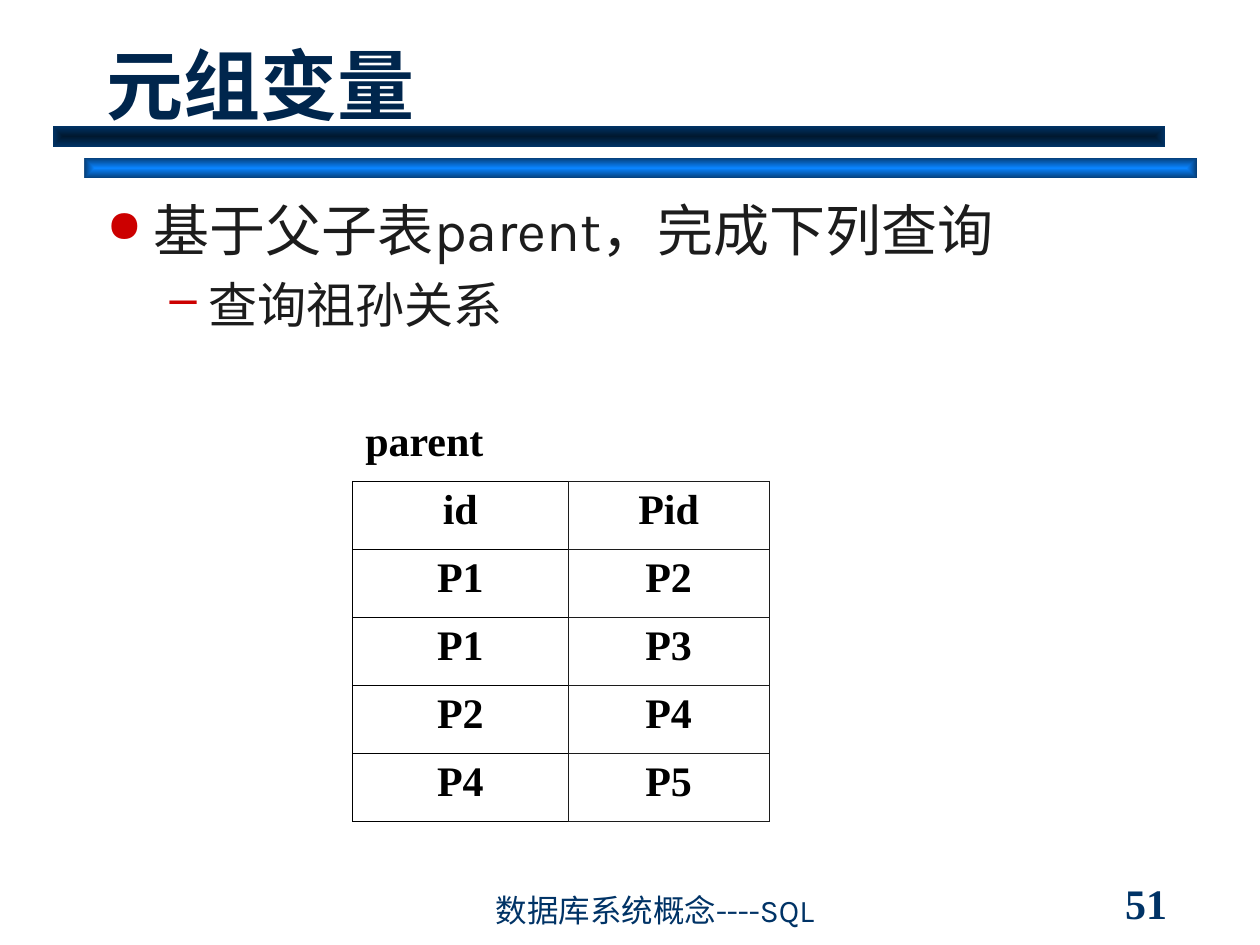
from lxml.etree import SubElement as Sub, Element
from pptx import Presentation
from pptx.dml.color import RGBColor
from pptx.enum.shapes import MSO_SHAPE as Shape
from pptx.enum.text import MSO_ANCHOR as Anchor, PP_ALIGN as Align
from pptx.oxml.ns import qn
from pptx.util import Cm, Pt

NAVY = RGBColor(0x00, 0x33, 0x66)
NIGHT = RGBColor(0x00, 0x18, 0x2F)
SKY = RGBColor(0x0A, 0x84, 0xFF)
DEEP = RGBColor(0x05, 0x3D, 0x76)
TITLE = RGBColor(0x00, 0x26, 0x4D)
INK = RGBColor(0x1C, 0x1C, 0x1C)
BLACK = RGBColor(0, 0, 0)
RED = RGBColor(0xCC, 0, 0)
SANS, SERIF = "Karla", "Times New Roman"

ROWS = [("parent", ""), ("id", "Pid"), ("P1", "P2"),
        ("P1", "P3"), ("P2", "P4"), ("P4", "P5")]


def style(para, name, size, color, bold=False):
    font = para.font
    font.name, font.size, font.bold = name, Pt(size), bold
    font.color.rgb = color
    for run in para.runs:
        run.font.name, run.font.size, run.font.bold = name, Pt(size), bold
        run.font.color.rgb = color


def add_bar(slide, left, top, inner, outer):
    """Add a bar shaded from its centre to its edges."""
    bar = slide.shapes.add_shape(
        Shape.RECTANGLE, Cm(left), Cm(top), Cm(22.43), Cm(0.42))
    bar.shadow.inherit = False
    bar.line.fill.background()
    bar.fill.gradient()
    for stop, color in zip(bar.fill.gradient_stops, (inner, outer)):
        stop.color.rgb = color
    grad = bar._element.spPr.find(qn("a:gradFill"))
    shade = Element(qn("a:path"), path="rect")
    Sub(shade, qn("a:fillToRect"), l="50000", t="50000", r="50000", b="50000")
    grad.replace(grad.find(qn("a:lin")), shade)


def add_text(slide, left, top, width, height, text, anchor=Anchor.TOP):
    box = slide.shapes.add_textbox(Cm(left), Cm(top), Cm(width), Cm(height))
    frame = box.text_frame
    frame.word_wrap = True
    frame.vertical_anchor = anchor
    frame.text = text
    return frame.paragraphs


def add_bullet(para, char, left, hang, scale=100):
    props = para._p.get_or_add_pPr()
    props.set("marL", str(Cm(left)))
    props.set("indent", str(-Cm(hang)))
    color = Sub(props, qn("a:buClr"))
    Sub(color, qn("a:srgbClr"), val=str(RED))
    Sub(props, qn("a:buSzPct"), val=str(scale * 1000))
    Sub(props, qn("a:buChar"), char=char)


def set_edges(cell, sides, color):
    """Draw the given sides of a cell and clear the others."""
    props = cell._tc.get_or_add_tcPr()
    for i, side in enumerate("LRTB"):
        line = Element(qn("a:ln" + side), w=str(Pt(0.45)))
        if side in sides:
            fill = Sub(line, qn("a:solidFill"))
            Sub(fill, qn("a:srgbClr"), val=str(color))
        else:
            Sub(line, qn("a:noFill"))
        props.insert(i, line)


def add_grid(slide):
    high = 1.37
    table = slide.shapes.add_table(
        len(ROWS), 2, Cm(7.11), Cm(8.33), Cm(8.4), Cm(high * len(ROWS))).table
    table.first_row = table.horz_banding = False
    for col, width in zip(table.columns, (4.34, 4.06)):
        col.width = Cm(width)
    for r, row in enumerate(ROWS):
        table.rows[r].height = Cm(high)
        for c, text in enumerate(row):
            cell = table.cell(r, c)
            cell.text = text
            cell.fill.background()
            set_edges(cell, "LRTB" if r else "B", INK if c else BLACK)
            para = cell.text_frame.paragraphs[0]
            para.alignment = Align.CENTER if r else Align.JUSTIFY
            style(para, SERIF, 24, BLACK, True)


def main():
    deck = Presentation()
    deck.slide_width, deck.slide_height = Cm(25.4), Cm(19.05)
    slide = deck.slides.add_slide(deck.slide_layouts[6])

    add_bar(slide, 1.7, 3.18, SKY, DEEP)
    add_bar(slide, 1.06, 2.54, NIGHT, NAVY)

    page = add_text(slide, 22.43, 17.78, 2.74, 0.85, "51", Anchor.MIDDLE)
    style(page[0], SERIF, 24, NAVY, True)
    foot = add_text(slide, 9.74, 17.99, 10.37, 0.85,
                    "数据库系统概念----SQL", Anchor.BOTTOM)
    style(foot[0], SANS, 18, NAVY)
    title = add_text(slide, 1.9, 0.42, 21.59, 2.33, "元组变量", Anchor.BOTTOM)
    style(title[0], SANS, 44, TITLE, True)

    head, sub = add_text(slide, 1.9, 3.81, 19.2, 4.32,
                         "基于父子表parent，完成下列查询\n查询祖孙关系")
    sub.level = 1
    sub.space_before = Pt(7)
    add_bullet(head, "●", 0.95, 0.95, 80)
    add_bullet(sub, "–", 2.06, 0.79)
    for para, size in ((head, 32), (sub, 28)):
        para.alignment = Align.JUSTIFY
        style(para, SANS, size, INK)

    add_grid(slide)
    deck.save("out.pptx")


if __name__ == "__main__":
    main()
